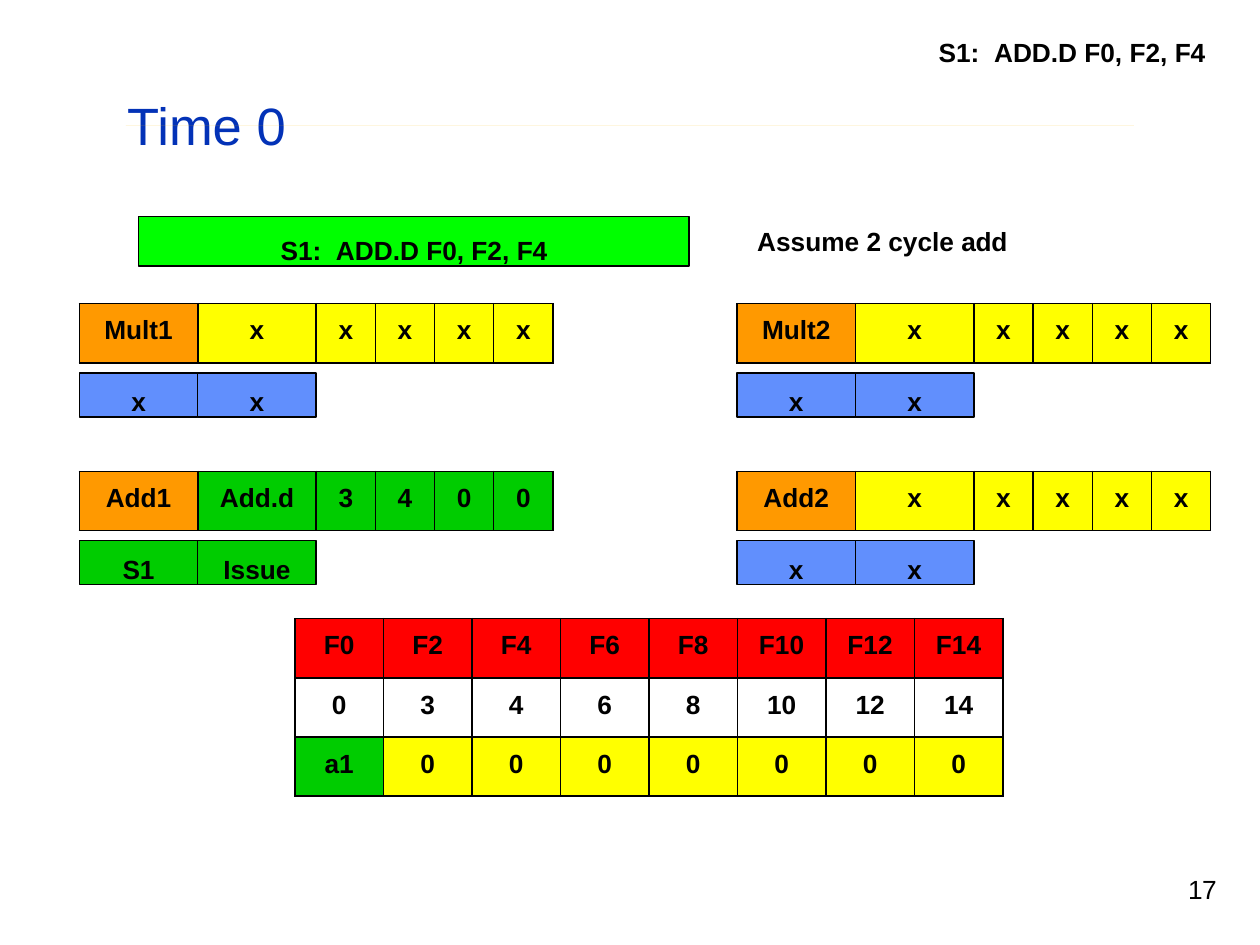
from pptx import Presentation, util as u
from pptx.dml.color import RGBColor
from pptx.enum import shapes, text
from pptx.oxml import parse_xml
from pptx.oxml.ns import nsdecls

THEME = dict(
    font="Arial", title=30, body=15,
    ink="000000", blue="0332B7", gold="FBBA03", lime="00FF00",
    orange="FF9900", yellow="FFFF00", green="00CC00", sky="618FFD",
    red="FF0000", none=None,
)
GAP = 4.17
CODE = [("S1:", 0), (" ", GAP), ("ADD.D F0, F2, ", 0), ("F4", -0.2)]

IDLE = ("yellow", ["x"] * 5, "sky", ["x", "x"])
BUSY = ("green", ["Add.d", "3", "4", "0", "0"], "green", ["S1", "Issue"])
UNITS = [
    [("Mult1", IDLE), ("Mult2", IDLE)],
    [("Add1", BUSY), ("Add2", IDLE)],
]
REGS = [
    [(f"F{n}", "red") for n in range(0, 16, 2)],
    [(v, "none") for v in "0 3 4 6 8 10 12 14".split()],
    [("a1", "green")] + [("0", "yellow")] * 7,
]

WIDE, SLIM, ROW = 0.94, 0.47, 0.47
LEFT, STEP_X = 0.63, 5.22
TOP, STEP_Y, DROP = 2.41, 1.33, 0.55


def rgb(key):
    return RGBColor.from_string(THEME[key])


def box(at):
    return [u.Inches(v) for v in at]


def paint(item, key):
    if THEME[key]:
        item.fill.solid()
        item.fill.fore_color.rgb = rgb(key)
    else:
        item.fill.background()


def write(frame, runs, bold=True, size="body", ink="ink", mid=False):
    para = frame.paragraphs[0]
    para.alignment = text.PP_ALIGN.CENTER if mid else text.PP_ALIGN.LEFT
    for words, space in runs:
        run = para.add_run()
        run.text = words
        font = run.font
        font.name, font.size, font.bold = THEME["font"], u.Pt(THEME[size]), bold
        font.color.rgb = rgb(ink)
        if space:
            run._r.get_or_add_rPr().set("spc", str(round(space * 100)))
    return para


def inset(frame, top, left=0):
    frame.margin_left, frame.margin_top = u.Inches(left), u.Inches(top)
    frame.margin_right = frame.margin_bottom = 0
    frame.vertical_anchor = text.MSO_ANCHOR.TOP
    frame.word_wrap = True


def label(slide, at, runs, bold=True, left=0.01, top=0.01):
    frame = slide.shapes.add_textbox(*box(at)).text_frame
    inset(frame, top, left)
    return write(frame, runs, bold)


def block(slide, at, runs, fill, top=0.1):
    shape = slide.shapes.add_shape(shapes.MSO_SHAPE.RECTANGLE, *box(at))
    shape.shadow.inherit = False
    paint(shape, fill)
    shape.line.color.rgb = rgb("ink")
    shape.line.width = u.Pt(0.8)
    inset(shape.text_frame, top)
    write(shape.text_frame, runs, mid=True)


def edge(cell):
    props = cell._tc.get_or_add_tcPr()
    for side in "LRTB":
        props.append(parse_xml(
            f'<a:ln{side} {nsdecls("a")} w="12700"><a:solidFill>'
            f'<a:srgbClr val="{THEME["ink"]}"/></a:solidFill></a:ln{side}>'))


def grid(slide, x, y, cols, rows):
    at = (x, y, sum(cols), ROW * len(rows))
    table = slide.shapes.add_table(len(rows), len(cols), *box(at)).table
    table.first_row = table.horz_banding = False
    for col, wide in zip(table.columns, cols):
        col.width = u.Inches(wide)
    for r, row in enumerate(rows):
        table.rows[r].height = u.Inches(ROW)
        for c, (words, fill) in enumerate(row):
            cell = table.cell(r, c)
            cell.margin_left = cell.margin_right = cell.margin_bottom = 0
            cell.margin_top = u.Inches(0.1)
            edge(cell)
            paint(cell, fill)
            write(cell.text_frame, [(words, 0)], mid=True)


def rule(slide, left, right, bands):
    pen = None
    for top, low in bands:
        if pen is None:
            pen = slide.shapes.build_freeform(left, top, scale=u.Inches(1))
        else:
            pen.move_to(left, top)
        pen.add_line_segments([(right, top), (right, low), (left, low)])
    shape = pen.convert_to_shape()
    shape.shadow.inherit = False
    paint(shape, "gold")
    shape.line.fill.background()


def unit(slide, x, y, name, state):
    fill, vals, tint, tags = state
    cells = [(name, "orange")] + [(v, fill) for v in vals]
    grid(slide, x, y, [WIDE] * 2 + [SLIM] * 4, [cells])
    for n, tag in enumerate(tags):
        block(slide, (x + n * WIDE, y + DROP, WIDE, 0.35), [(tag, 0)], tint)


def main():
    deck = Presentation()
    deck.slide_width, deck.slide_height = u.Inches(10), u.Inches(7.5)
    slide = deck.slides.add_slide(deck.slide_layouts[5])

    title = slide.shapes.title
    title.left, title.top, title.width, title.height = box((1, 0.6, 5.67, 0.64))
    inset(title.text_frame, 0.14, 0.01)
    write(title.text_frame, [("Time ", 0), ("0", -0.4)], False, "title", "blue")
    rule(slide, 0.89, 9.14, [(1.29, 1.32), (1.27, 1.28)])

    block(slide, (1.1, 1.72, 4.37, 0.39), CODE, "lime", 0.14)
    label(slide, (6, 1.78, 2.1, 0.26), [("Assume 2 cycle ", 0), ("add", -0.2)])

    for r, pair in enumerate(UNITS):
        for c, (name, state) in enumerate(pair):
            unit(slide, LEFT + c * STEP_X, TOP + r * STEP_Y, name, state)
    grid(slide, 2.34, 4.91, [0.7025] * 8, REGS)

    label(slide, (7.44, 0.28, 2.2, 0.26), CODE)
    page = label(slide, (9.28, 6.94, 0.42, 0.48), [("17", -0.4)], False, 0.15, 0)
    page.line_spacing = u.Pt(17.5)
    deck.save("out.pptx")


if __name__ == "__main__":
    main()
